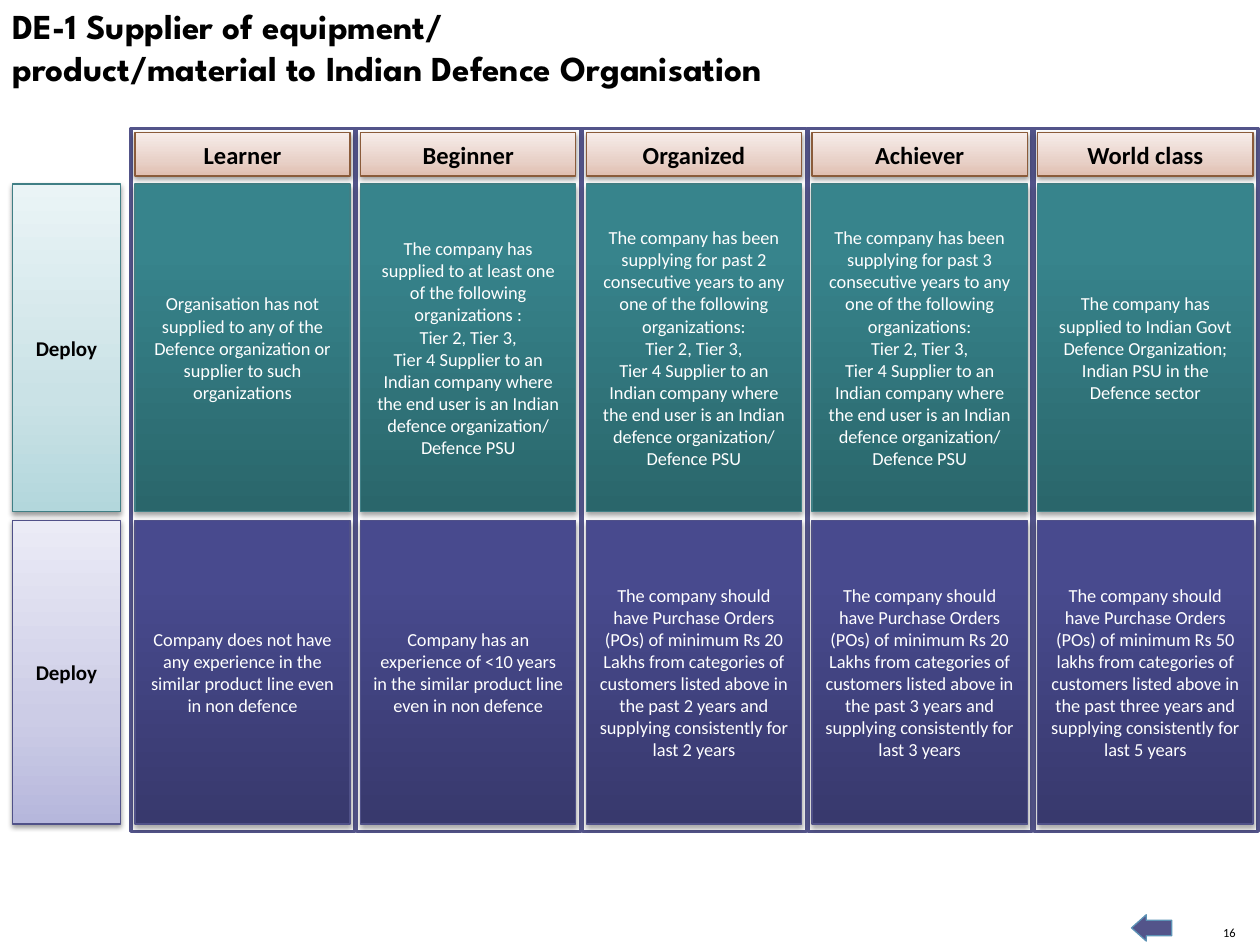
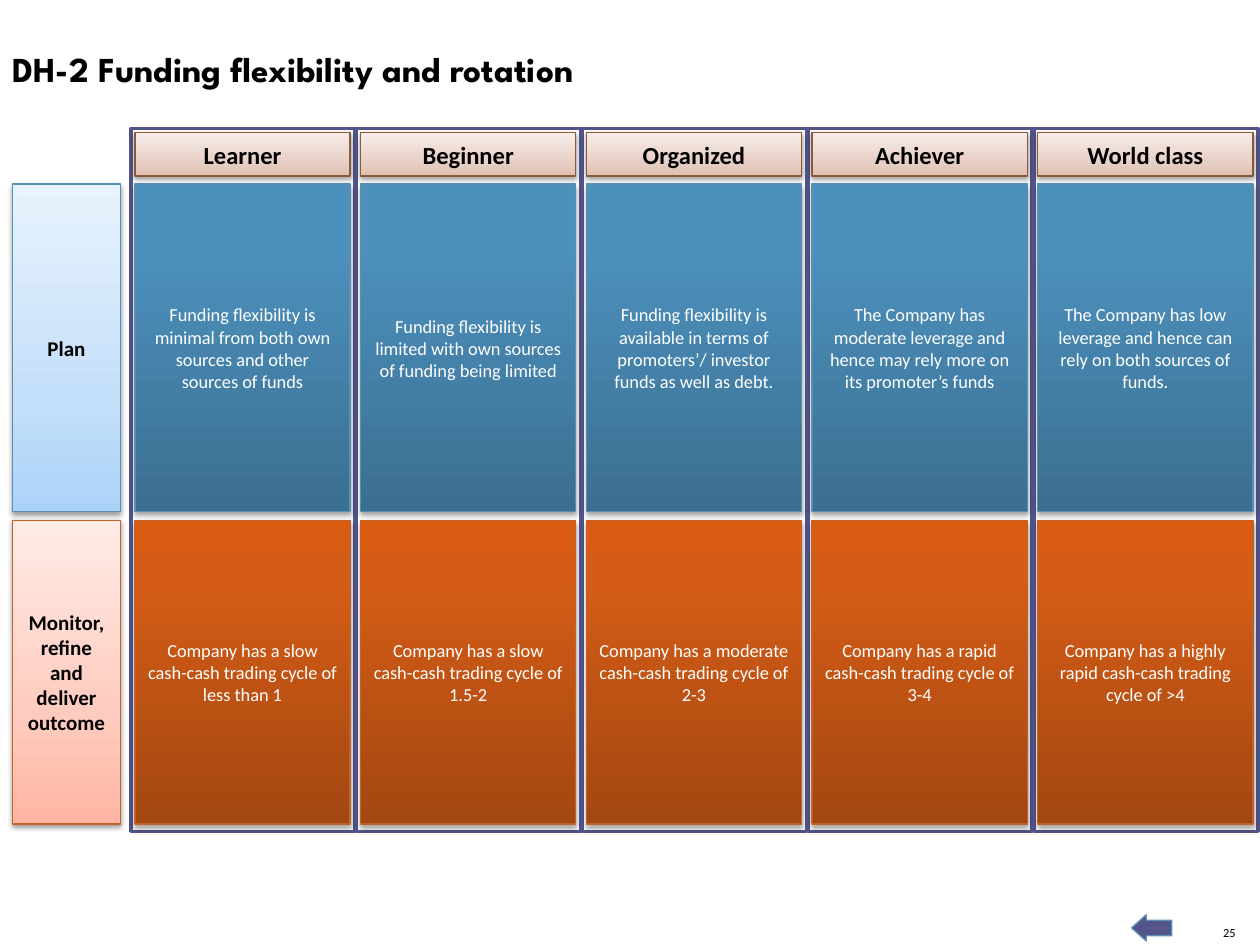
"""Build two maturity-matrix slides that share one grid, title style and footer."""
from copy import deepcopy
from dataclasses import dataclass

from lxml.etree import SubElement
from pptx import Presentation
from pptx.dml.color import RGBColor
from pptx.enum.shapes import MSO_SHAPE
from pptx.enum.text import MSO_ANCHOR, MSO_AUTO_SIZE, PP_ALIGN
from pptx.oxml.ns import qn
from pptx.util import Cm, Pt

LEVELS = ["Learner", "Beginner", "Organized", "Achiever", "World class"]
TIERS = [
    "Tier 2, Tier 3,",
    "Tier 4 Supplier to an Indian company where the end user is an Indian "
    "defence organization/ Defence PSU",
]
SUPPLYING = ("The company has been supplying for past {} consecutive years to any one "
             "of the following organizations:")
ORDERS = ("The company should have Purchase Orders (POs) of minimum Rs {} from categories "
          "of customers listed above in the past {} years and supplying consistently "
          "for last {} years")
CYCLE = "Company has a {} cash-cash trading cycle of {}"

SLIDES = [
    {
        "title": ["DE-1 Supplier of equipment/",
                  "product/material to Indian Defence Organisation"],
        "title_box": (0, -0.03, 19.28, 1.96),
        "number": "16",
        "rows": [
            ("Deploy", "teal", [
                ["Organisation has not supplied to any of the Defence organization or "
                 "supplier to such organizations"],
                ["The company has supplied to at least one of the following "
                 "organizations :", *TIERS],
                [SUPPLYING.format(2), *TIERS],
                [SUPPLYING.format(3), *TIERS],
                ["The company has supplied to Indian Govt Defence Organization; "
                 "Indian PSU in the Defence sector"],
            ]),
            ("Deploy", "indigo", [
                ["Company does not have any experience in the similar product line "
                 "even in non defence"],
                ["Company has an experience of <10 years in the similar product line "
                 "even in non defence"],
                [ORDERS.format("20 Lakhs", 2, 2)],
                [ORDERS.format("20 Lakhs", 3, 3)],
                [ORDERS.format("50 lakhs", "three", 5)],
            ]),
        ],
    },
    {
        "title": ["DH-2 Funding flexibility and rotation"],
        "title_box": (0, 0.84, 21.84, 1.12),
        "number": "25",
        "rows": [
            ("Plan", "blue", [
                ["Funding flexibility is minimal from both own sources and other "
                 "sources of funds"],
                ["Funding flexibility is limited with own sources of funding being limited"],
                ["Funding flexibility is available in terms of promoters’/ investor "
                 "funds as well as debt."],
                ["The Company has moderate leverage and hence may rely more on its "
                 "promoter’s funds"],
                ["The Company has low leverage and hence can rely on both sources of funds."],
            ]),
            ("Monitor, refine and deliver outcome", "orange", [
                [CYCLE.format("slow", "less than 1")],
                [CYCLE.format("slow", "1.5-2")],
                [CYCLE.format("moderate", "2-3")],
                [CYCLE.format("rapid", "3-4")],
                [CYCLE.format("highly rapid", ">4")],
            ]),
        ],
    },
]


@dataclass(frozen=True)
class TextStyle:
    """Font, size, colour and weight of a text."""
    size: float
    color: str = "000000"
    bold: bool = False
    font: str = "Calibri"


@dataclass(frozen=True)
class Finish:
    """Gradient from bottom to top, outline and shadow of a panel."""
    stops: tuple
    line: str
    shadow_alpha: int = 38
    shadow_distance: float = 1.6


def pale(line, *colors):
    """Return the light finish used by labels and headings."""
    return Finish(tuple(zip((0, 0.35, 1), colors)), line)


def deep(line, *colors):
    """Return the dark finish used by cards."""
    return Finish(tuple(zip((0, 0.8, 1), colors)), line, 35, 1.8)


class Theme:
    """Colours and type styles of the presentation."""
    white = "FFFFFF"
    frame = "53548A"
    arrow_line = "5C92B5"
    title = TextStyle(20, bold=True, font="League Spartan")
    heading = TextStyle(14, bold=True)
    label = TextStyle(12, bold=True)
    card = TextStyle(10.5, color="FFFFFF")
    number = TextStyle(7.1)
    heading_finish = pale("8A5B3A", "E0BEB0", "E8D1C8", "F7EDEA")
    label_finishes = {
        "teal": pale("407F85", "B3D7DC", "CAE2E6", "EAF4F6"),
        "indigo": pale("505188", "B6B7DC", "CCCCE6", "EBEBF6"),
        "blue": pale("588FB3", "ABD3F8", "C4DFF9", "E7F3FE"),
        "orange": pale("C36228", "FFB6A3", "FFCBBE", "FFEBE6"),
    }
    card_finishes = {
        "teal": deep("407F85", "2A666B", "37848C", "36868E"),
        "indigo": deep("505188", "38396D", "484A8E", "474990"),
        "blue": deep("588FB3", "3B6F91", "4C90BC", "4A91BF"),
        "orange": deep("C36228", "A34711", "D45C16", "D95C12"),
    }


FRAME_LEFT, FRAME_TOP, FRAME_WIDTH, FRAME_HEIGHT = 2.64, 2.59, 4.52, 14.17
COLUMN_PITCH = 4.55
CARD_INSET, CARD_WIDTH = 0.08, 4.34
HEADING_TOP, HEADING_HEIGHT = 2.67, 0.88
LABEL_LEFT, LABEL_WIDTH = 0.25, 2.18
ROW_SPANS = [(3.71, 6.6), (10.49, 6.12)]
COLUMN_LEFTS = [FRAME_LEFT + COLUMN_PITCH * index for index in range(len(LEVELS))]


def write(text_frame, lines, style, alignment):
    """Write each line as a paragraph with one styled run."""
    for index, line in enumerate(lines):
        paragraph = text_frame.add_paragraph() if index else text_frame.paragraphs[0]
        paragraph.alignment = alignment
        run = paragraph.add_run()
        run.text = line
        run.font.name = style.font
        run.font.size = Pt(style.size)
        run.font.bold = style.bold
        run.font.color.rgb = RGBColor.from_string(style.color)


def add_box(slide, kind, box, line, line_width):
    """Add an outlined preset shape without a shadow."""
    shape = slide.shapes.add_shape(kind, *map(Cm, box))
    shape.shadow.inherit = False
    shape.line.color.rgb = RGBColor.from_string(line)
    shape.line.width = Pt(line_width)
    return shape


def add_solid(slide, kind, box, fill, line, line_width):
    """Add a shape with a plain fill."""
    shape = add_box(slide, kind, box, line, line_width)
    shape.fill.solid()
    shape.fill.fore_color.rgb = RGBColor.from_string(fill)
    return shape


def add_panel(slide, box, lines, finish, style):
    """Add a gradient rectangle with a soft shadow and centred text."""
    shape = add_box(slide, MSO_SHAPE.RECTANGLE, box, finish.line, 0.75)
    shape.fill.gradient()
    shape.fill.gradient_angle = 90
    properties = shape.element.spPr
    stop_list = properties.find(".//" + qn("a:gsLst"))
    stop_list.append(deepcopy(stop_list[0]))
    for stop, (position, color) in zip(shape.fill.gradient_stops, finish.stops):
        stop.position = position
        stop.color.rgb = RGBColor.from_string(color)
    shadow = SubElement(
        properties.find(qn("a:effectLst")), qn("a:outerShdw"),
        blurRad=str(Pt(3.1)), dist=str(Pt(finish.shadow_distance)),
        dir="5400000", rotWithShape="0")
    color = SubElement(shadow, qn("a:srgbClr"), val="000000")
    SubElement(color, qn("a:alpha"), val=str(finish.shadow_alpha * 1000))
    shape.text_frame.word_wrap = True
    shape.text_frame.vertical_anchor = MSO_ANCHOR.MIDDLE
    write(shape.text_frame, lines, style, PP_ALIGN.CENTER)


def add_title(slide, lines, box):
    """Place and fill the title placeholder."""
    title = slide.shapes.title
    title.left, title.top, title.width, title.height = map(Cm, box)
    frame = title.text_frame
    frame.word_wrap = True
    frame.auto_size = MSO_AUTO_SIZE.NONE
    frame.vertical_anchor = MSO_ANCHOR.TOP
    write(frame, lines, Theme.title, PP_ALIGN.LEFT)


def add_footer(slide, number):
    """Add the page number and the back arrow."""
    frame = slide.shapes.add_textbox(Cm(24.61), Cm(18.64), Cm(0.3), Cm(0.3)).text_frame
    frame.margin_left = frame.margin_top = frame.margin_right = frame.margin_bottom = 0
    frame.word_wrap = False
    frame.vertical_anchor = MSO_ANCHOR.BOTTOM
    write(frame, [number], Theme.number, PP_ALIGN.RIGHT)
    arrow = add_solid(slide, MSO_SHAPE.RIGHT_ARROW, (22.81, 18.44, 0.81, 0.53),
                      Theme.frame, Theme.arrow_line, 0.75)
    arrow.rotation = 180
    arrow.adjustments[0], arrow.adjustments[1] = 0.59, 0.56


def add_matrix(slide, rows):
    """Add row labels, column frames, cards and column headings."""
    for (label, tone, _), (top, height) in zip(rows, ROW_SPANS):
        add_panel(slide, (LABEL_LEFT, top, LABEL_WIDTH, height), [label],
                  Theme.label_finishes[tone], Theme.label)
    for left in COLUMN_LEFTS:
        add_solid(slide, MSO_SHAPE.RECTANGLE, (left, FRAME_TOP, FRAME_WIDTH, FRAME_HEIGHT),
                  Theme.white, Theme.frame, 2)
    for (_, tone, cards), (top, height) in zip(rows, ROW_SPANS):
        for left, lines in zip(COLUMN_LEFTS, cards):
            add_panel(slide, (left + CARD_INSET, top, CARD_WIDTH, height), lines,
                      Theme.card_finishes[tone], Theme.card)
    for left, level in zip(COLUMN_LEFTS, LEVELS):
        add_panel(slide, (left + CARD_INSET, HEADING_TOP, CARD_WIDTH, HEADING_HEIGHT),
                  [level], Theme.heading_finish, Theme.heading)


def main():
    """Build and save the presentation."""
    presentation = Presentation()
    presentation.slide_width, presentation.slide_height = Cm(25.4), Cm(19.05)
    title_only = presentation.slide_layouts.get_by_name("Title Only")
    for content in SLIDES:
        slide = presentation.slides.add_slide(title_only)
        add_footer(slide, content["number"])
        add_title(slide, content["title"], content["title_box"])
        add_matrix(slide, content["rows"])
    presentation.save("out.pptx")


if __name__ == "__main__":
    main()
